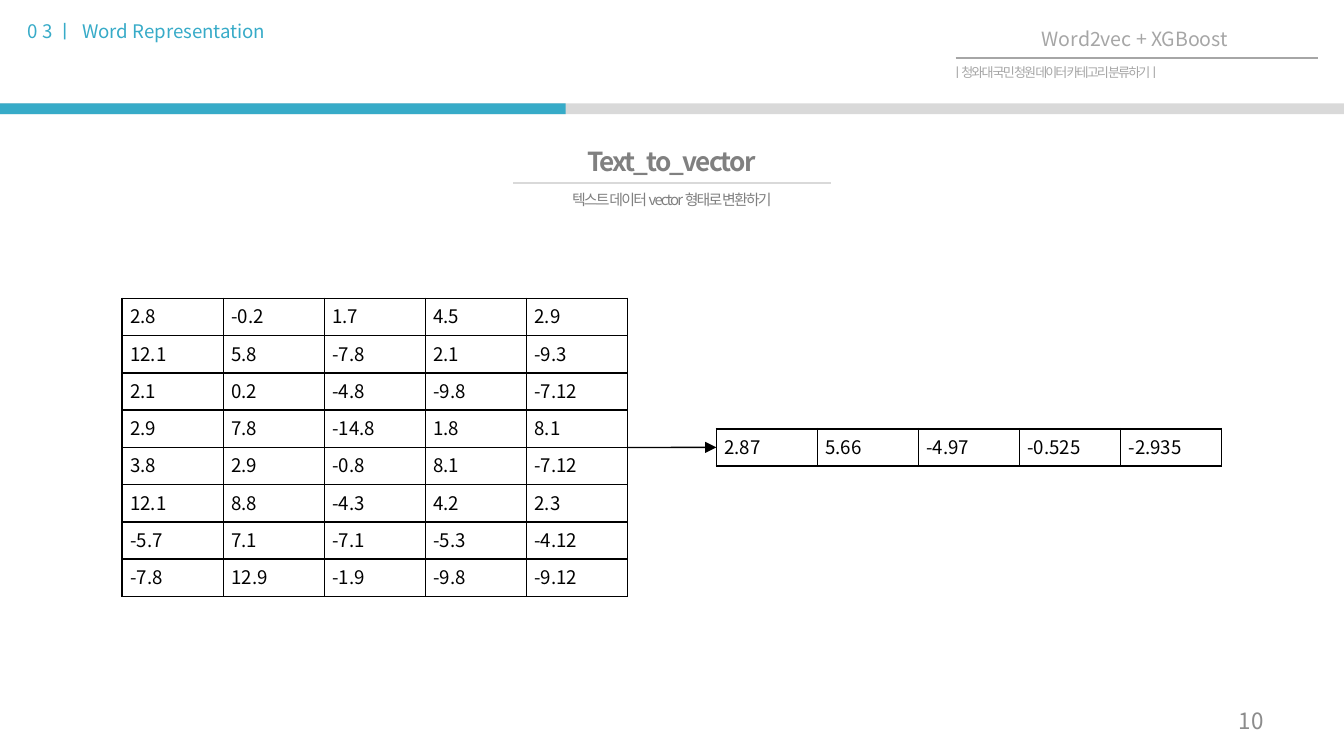
from pptx import Presentation
from pptx.dml.color import RGBColor
from pptx.enum.shapes import MSO_CONNECTOR as CONN, MSO_SHAPE as SHAPE
from pptx.enum.text import MSO_ANCHOR as ANCHOR, MSO_AUTO_SIZE as AUTO, PP_ALIGN as ALIGN
from pptx.oxml.ns import qn
from pptx.util import Inches, Pt
from lxml.etree import SubElement

COLORS = {
    "accent": "37ABC8", "rule": "D9D9D9", "title": "808080",
    "muted": "A6A6A6", "number": "8C8C8C", "black": "000000",
}
WORD_VECTORS = [
    ["2.8", "-0.2", "1.7", "4.5", "2.9"],
    ["12.1", "5.8", "-7.8", "2.1", "-9.3"],
    ["2.1", "0.2", "-4.8", "-9.8", "-7.12"],
    ["2.9", "7.8", "-14.8", "1.8", "8.1"],
    ["3.8", "2.9", "-0.8", "8.1", "-7.12"],
    ["12.1", "8.8", "-4.3", "4.2", "2.3"],
    ["-5.7", "7.1", "-7.1", "-5.3", "-4.12"],
    ["-7.8", "12.9", "-1.9", "-9.8", "-9.12"],
]
MEAN_VECTOR = [["2.87", "5.66", "-4.97", "-0.525", "-2.935"]]


def rgb(name):
    return RGBColor.from_string(COLORS[name])


class Deck:
    font = "Noto Sans CJK KR"
    col_w, row_h = 3.76 / 5, 2.22 / 8

    def __init__(self, prs):
        self.s = prs.slides.add_slide(prs.slide_layouts[5])

    def run(self, p, text, size, color, bold=False, spacing=0):
        r = p.add_run()
        r.text = text
        r.font.size, r.font.bold = Pt(size), bold
        r.font.color.rgb = rgb(color)
        r.font.name = self.font
        rPr = r.font._element
        SubElement(rPr, qn("a:ea")).set("typeface", self.font)
        if spacing:
            rPr.set("spc", str(spacing * 100))

    def fill_text(self, sp, box, text, size, color, align=ALIGN.LEFT,
                  anchor=ANCHOR.TOP, **style):
        sp.left, sp.top, sp.width, sp.height = map(Inches, box)
        tf = sp.text_frame
        tf.word_wrap, tf.auto_size = True, AUTO.NONE
        tf.vertical_anchor = anchor
        tf.margin_left = tf.margin_right = Inches(0.1)
        tf.margin_top = tf.margin_bottom = Inches(0.05)
        p = tf.paragraphs[0]
        p.alignment = align
        self.run(p, text, size, color, **style)

    def title(self, *args, **style):
        self.fill_text(self.s.shapes.title, *args, **style)

    def text(self, box, *args, **style):
        sp = self.s.shapes.add_textbox(*map(Inches, box))
        self.fill_text(sp, box, *args, **style)

    def bar(self, box, color):
        sp = self.s.shapes.add_shape(SHAPE.RECTANGLE, *map(Inches, box))
        sp.shadow.inherit = False
        sp.fill.solid()
        sp.fill.fore_color.rgb = rgb(color)
        sp.line.fill.background()

    def line(self, x1, y1, x2, y2, color, width):
        c = self.s.shapes.add_connector(CONN.STRAIGHT, *map(Inches, (x1, y1, x2, y2)))
        c.line.color.rgb, c.line.width = rgb(color), Pt(width)
        SubElement(c._element.spPr, qn("a:effectLst"))
        return c

    def arrow(self, source, target, *args):
        c = self.line(*args)
        c.begin_connect(source, 3)
        c.end_connect(target, 1)
        SubElement(c.line._get_or_add_ln(), qn("a:tailEnd")).set("type", "triangle")

    def border(self, cell):
        tcPr = cell._tc.get_or_add_tcPr()
        for side in ("lnL", "lnR", "lnT", "lnB"):
            ln = SubElement(tcPr, qn(f"a:{side}"), w=str(Pt(1)))
            fill = SubElement(ln, qn("a:solidFill"))
            SubElement(fill, qn("a:srgbClr"), val=COLORS["black"])

    def table(self, left, top, rows):
        n_rows, n_cols = len(rows), len(rows[0])
        frame = self.s.shapes.add_table(
            n_rows, n_cols, Inches(left), Inches(top),
            Inches(n_cols * self.col_w), Inches(n_rows * self.row_h))
        tbl = frame.table
        tbl.first_row = tbl.horz_banding = False
        for i, row in enumerate(rows):
            for j, value in enumerate(row):
                cell = tbl.cell(i, j)
                cell.margin_left = cell.margin_right = Inches(0.06)
                cell.margin_top = cell.margin_bottom = Inches(0.03)
                self.border(cell)
                cell.fill.background()
                self.run(cell.text_frame.paragraphs[0], value, 10, "black")
        return frame


def main():
    prs = Presentation()
    prs.slide_width = Inches(10)
    prs.slide_height = prs.slide_width * 9 // 16
    d = Deck(prs)

    # Progress bar and section label
    d.bar((0, 0.77, 10, 0.08), "rule")
    d.bar((0, 0.77, 4.21, 0.08), "accent")
    d.text((0.11, 0.1, 2.29, 0.27), "0 3 ㅣ  Word Representation", 10, "accent")

    # Title block
    d.line(3.82, 1.36, 6.18, 1.36, "rule", 1)
    d.title((4, 1.03, 1.99, 0.34), "Text_to_vector", 14, "title",
            align=ALIGN.CENTER, bold=True, spacing=-1)
    d.text((2.65, 1.37, 4.7, 0.24), "텍스트 데이터 vector 형태로 변환하기", 8, "title",
           align=ALIGN.CENTER, spacing=-1)

    # Word vectors averaged into one vector
    words = d.table(0.91, 2.22, WORD_VECTORS)
    mean = d.table(5.33, 3.19, MEAN_VECTOR)
    d.arrow(words, mean, 4.67, 3.33, 5.33, 3.33, "black", 0.75)

    # Project label
    d.text((7.11, 0.15, 2.67, 0.29), "Word2vec + XGBoost", 10.5, "muted",
           align=ALIGN.CENTER)
    d.text((6.98, 0.43, 2.99, 0.22), "ㅣ청와대 국민 청원 데이터 카테고리 분류하기ㅣ", 7,
           "muted", align=ALIGN.JUSTIFY, spacing=-1)
    d.line(7.11, 0.43, 9.81, 0.43, "muted", 1)

    # Page number
    d.text((7.17, 5.21, 2.33, 0.3), "10", 12, "number",
           align=ALIGN.RIGHT, anchor=ANCHOR.MIDDLE)

    prs.save("out.pptx")


if __name__ == "__main__":
    main()
